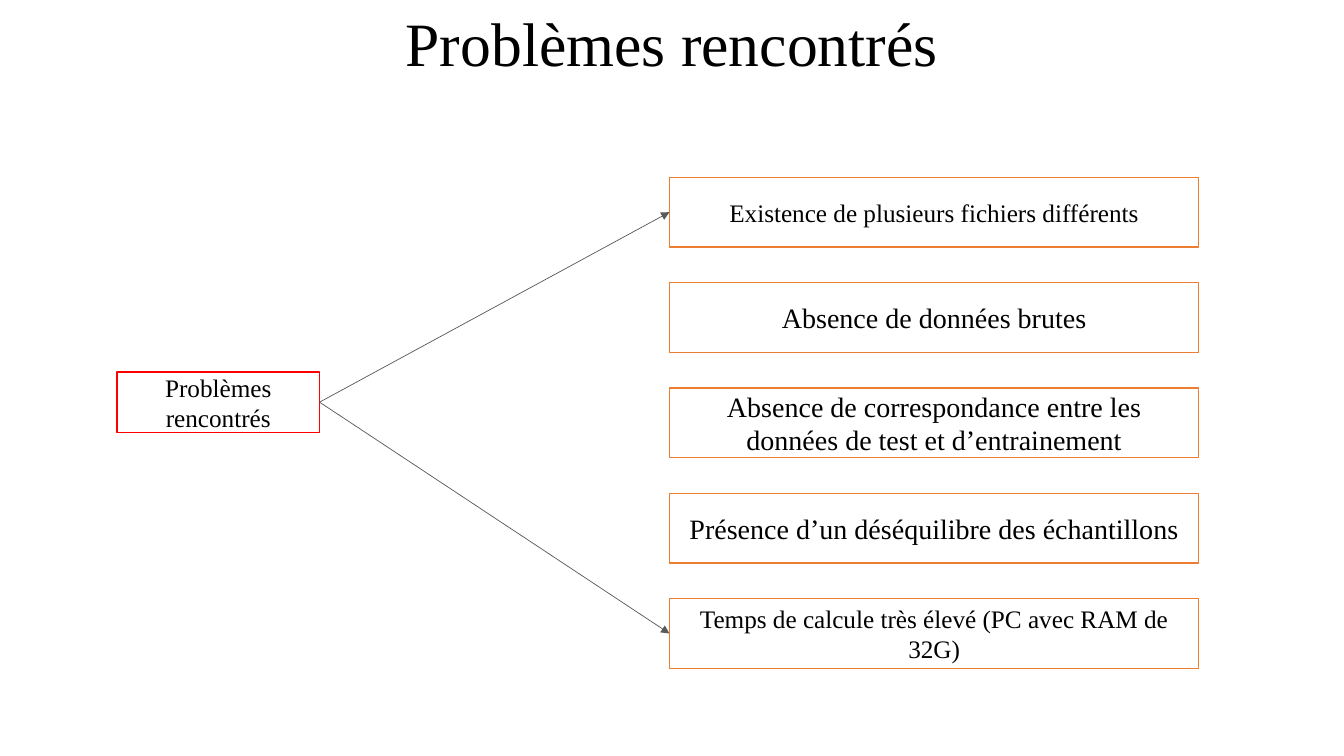
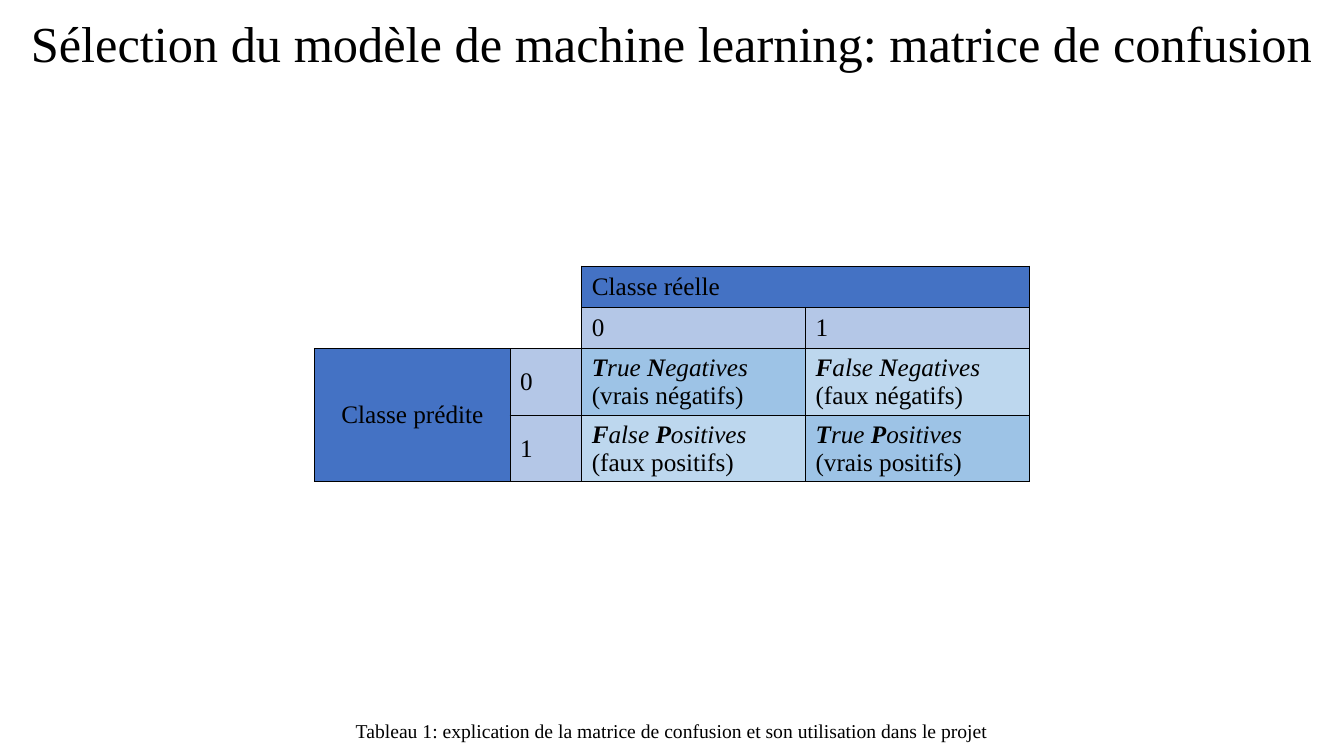
from lxml import etree
from pptx import Presentation
from pptx.dml.color import RGBColor
from pptx.enum.shapes import MSO_CONNECTOR, MSO_SHAPE
from pptx.enum.text import MSO_ANCHOR, MSO_AUTO_SIZE, PP_ALIGN
from pptx.oxml.ns import qn
from pptx.util import Inches, Pt

RECTANGLE, STRAIGHT = MSO_SHAPE.RECTANGLE, MSO_CONNECTOR.STRAIGHT
CENTER, LEFT, MIDDLE = PP_ALIGN.CENTER, PP_ALIGN.LEFT, MSO_ANCHOR.MIDDLE
NO_AUTOFIT = MSO_AUTO_SIZE.NONE
WIDTH, HEIGHT = 13.33, 7.5
TITLE_HEIGHT = 0.92
FONT = "Times New Roman"
TITLE_ONLY = 5
PLAIN_TABLE_STYLE = "{2D5ABB26-0587-4C30-8999-92F81FD0307C}"

BLACK, WHITE, RED, ORANGE, GREY = "000000", "FFFFFF", "FF0000", "ED7D31", "595959"
CLASS_BLUE, VALUE_BLUE, RIGHT_BLUE, WRONG_BLUE = "4472C4", "B4C7E7", "9DC3E6", "BDD7EE"

PROBLEMS_TITLE = "Problèmes rencontrés"
PROBLEMS = [
    ("Existence de plusieurs fichiers différents", 18),
    ("Absence de données brutes", 20),
    ("Absence de correspondance entre les données de test et d’entrainement", 20),
    ("Présence d’un déséquilibre des échantillons", 20),
    ("Temps de calcule très élevé (PC avec RAM de 32G)", 18),
]
ROOT_BOX = (1.16, 3.69, 2.01, 0.6)
PROBLEM_LEFT, PROBLEM_TOP, PROBLEM_WIDTH, PROBLEM_HEIGHT = 6.64, 1.76, 5.25, 0.69
PROBLEM_STEP = (5.94 - PROBLEM_TOP) / (len(PROBLEMS) - 1)

MATRIX_TITLE = "Sélection du modèle de machine learning: matrice de confusion"
MATRIX_CAPTION = "Tableau 1: explication de la matrice de confusion et son utilisation dans le projet"
MATRIX_LEFT, MATRIX_TOP = 3.12, 2.64
MATRIX_COLUMNS = [1.94, 0.71, 2.22, 2.22]
MATRIX_ROWS = [0.41, 0.41, 0.66, 0.66]
MATRIX_SPANS = [((0, 0), (1, 1)), ((0, 2), (0, 3)), ((2, 0), (3, 0))]
MATRIX_LABELS = {
    (0, 2): ("Classe réelle", CLASS_BLUE, LEFT),
    (2, 0): ("Classe prédite", CLASS_BLUE, CENTER),
    (1, 2): ("0", VALUE_BLUE, LEFT),
    (1, 3): ("1", VALUE_BLUE, LEFT),
    (2, 1): ("0", VALUE_BLUE, LEFT),
    (3, 1): ("1", VALUE_BLUE, LEFT),
}
MATRIX_OUTCOMES = {
    (2, 2): ("True Negatives", "(vrais négatifs)", RIGHT_BLUE),
    (2, 3): ("False Negatives", "(faux négatifs)", WRONG_BLUE),
    (3, 2): ("False Positives", "(faux positifs)", WRONG_BLUE),
    (3, 3): ("True Positives", "(vrais positifs)", RIGHT_BLUE),
}


def color(value):
    return RGBColor.from_string(value)


def inches(*lengths):
    return [Inches(length) for length in lengths]


def write(frame, paragraphs, size=18, align=CENTER, spacing=None):
    if isinstance(paragraphs, str):
        paragraphs = [[(paragraphs, False, False)]]
    frame.word_wrap = True
    for index, runs in enumerate(paragraphs):
        paragraph = frame.add_paragraph() if index else frame.paragraphs[0]
        paragraph.alignment = align
        paragraph.line_spacing = spacing
        for text, bold, italic in runs:
            run = paragraph.add_run()
            run.text = text
            run.font.name, run.font.size = FONT, Pt(size)
            run.font.bold, run.font.italic = bold, italic
            run.font.color.rgb = color(BLACK)


def add_titled_slide(deck, title, size):
    slide = deck.slides.add_slide(deck.slide_layouts[TITLE_ONLY])
    heading = slide.shapes.title
    heading.left, heading.top, heading.width, heading.height = inches(0, 0, WIDTH, TITLE_HEIGHT)
    write(heading.text_frame, title, size=size, spacing=0.9)
    heading.text_frame.auto_size = NO_AUTOFIT
    heading.text_frame.vertical_anchor = MIDDLE
    return slide


def add_box(slide, place, text, outline, size=18):
    box = slide.shapes.add_shape(RECTANGLE, *inches(*place))
    box.shadow.inherit = False
    box.fill.solid()
    box.fill.fore_color.rgb = color(WHITE)
    box.line.color.rgb = color(outline)
    box.line.width = Pt(1)
    box.text_frame.vertical_anchor = MIDDLE
    write(box.text_frame, text, size=size)
    return box


def add_arrow(slide, source, target):
    arrow = slide.shapes.add_connector(STRAIGHT, 0, 0, 0, 0)
    arrow.begin_connect(source, 3)
    arrow.end_connect(target, 1)
    arrow.line.color.rgb = color(GREY)
    arrow.line.width = Pt(0.5)
    etree.SubElement(arrow.line._get_or_add_ln(), qn("a:tailEnd"), type="triangle")
    etree.SubElement(arrow._element.spPr, qn("a:effectLst"))


def add_borders(cell):
    properties = cell._tc.get_or_add_tcPr()
    for index, side in enumerate(("lnL", "lnR", "lnT", "lnB")):
        border = etree.Element(qn("a:" + side), w=str(Pt(1)))
        fill = etree.SubElement(border, qn("a:solidFill"))
        etree.SubElement(fill, qn("a:srgbClr"), val=BLACK)
        properties.insert(index, border)


def fill_cell(cell, paragraphs, background, align=LEFT):
    cell.fill.solid()
    cell.fill.fore_color.rgb = color(background)
    cell.vertical_anchor = MIDDLE
    write(cell.text_frame, paragraphs, align=align)


def initials_in_bold(term):
    first, second = term.split()
    return [
        (first[0], True, True), (first[1:] + " ", False, True),
        (second[0], True, True), (second[1:], False, True),
    ]


def build_problems(deck):
    slide = add_titled_slide(deck, PROBLEMS_TITLE, 44)
    root = add_box(slide, ROOT_BOX, PROBLEMS_TITLE, RED)
    boxes = []
    for row, (problem, size) in enumerate(PROBLEMS):
        place = (PROBLEM_LEFT, PROBLEM_TOP + row * PROBLEM_STEP, PROBLEM_WIDTH, PROBLEM_HEIGHT)
        boxes.append(add_box(slide, place, problem, ORANGE, size))
    for target in (boxes[0], boxes[-1]):
        add_arrow(slide, root, target)


def build_matrix(deck):
    slide = add_titled_slide(deck, MATRIX_TITLE, 36)
    place = inches(MATRIX_LEFT, MATRIX_TOP, sum(MATRIX_COLUMNS), sum(MATRIX_ROWS))
    matrix = slide.shapes.add_table(len(MATRIX_ROWS), len(MATRIX_COLUMNS), *place).table
    matrix.first_row = matrix.horz_banding = False
    matrix._tbl.tblPr.find(qn("a:tableStyleId")).text = PLAIN_TABLE_STYLE
    for column, width in zip(matrix.columns, MATRIX_COLUMNS):
        column.width = Inches(width)
    for row, height in zip(matrix.rows, MATRIX_ROWS):
        row.height = Inches(height)
    for first, last in MATRIX_SPANS:
        matrix.cell(*first).merge(matrix.cell(*last))
    for position, (label, background, align) in MATRIX_LABELS.items():
        fill_cell(matrix.cell(*position), label, background, align)
    for position, (term, meaning, background) in MATRIX_OUTCOMES.items():
        lines = [initials_in_bold(term), [(meaning, False, False)]]
        fill_cell(matrix.cell(*position), lines, background)
    for row in range(len(MATRIX_ROWS)):
        for column in range(len(MATRIX_COLUMNS)):
            if row > 1 or column > 1:
                add_borders(matrix.cell(row, column))

    caption = slide.shapes.add_textbox(*inches(2.51, HEIGHT - 0.5, 8.31, 0.5)).text_frame
    caption.vertical_anchor = MIDDLE
    write(caption, MATRIX_CAPTION, size=14)


def main():
    deck = Presentation()
    deck.slide_width, deck.slide_height = inches(WIDTH, HEIGHT)
    build_problems(deck)
    build_matrix(deck)
    deck.save("out.pptx")


if __name__ == "__main__":
    main()
